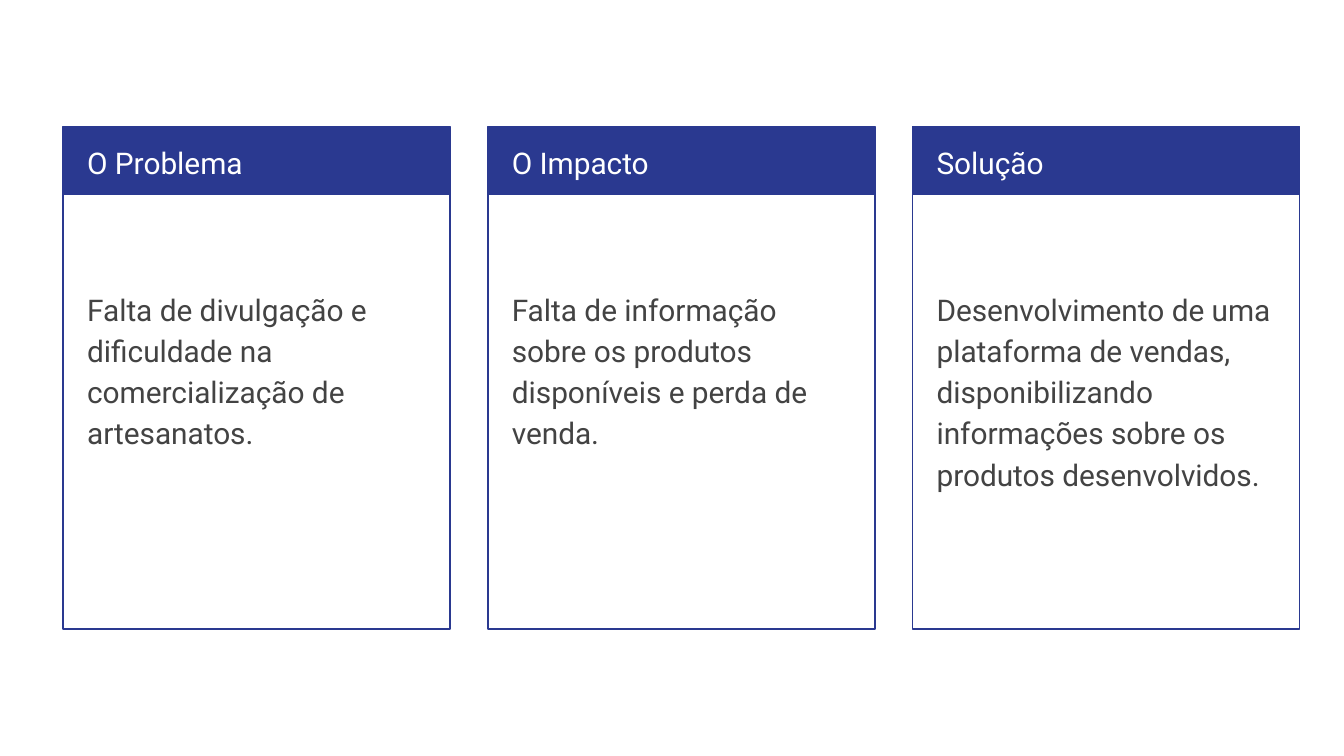
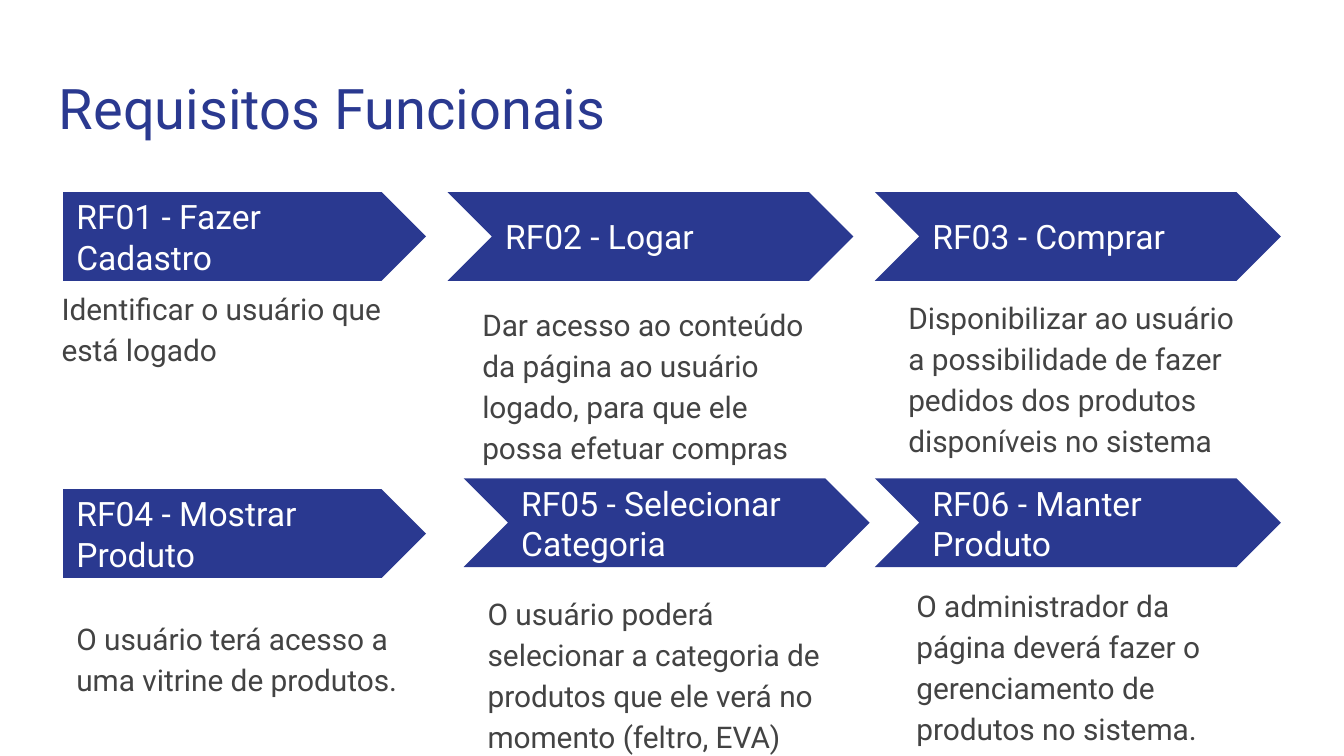
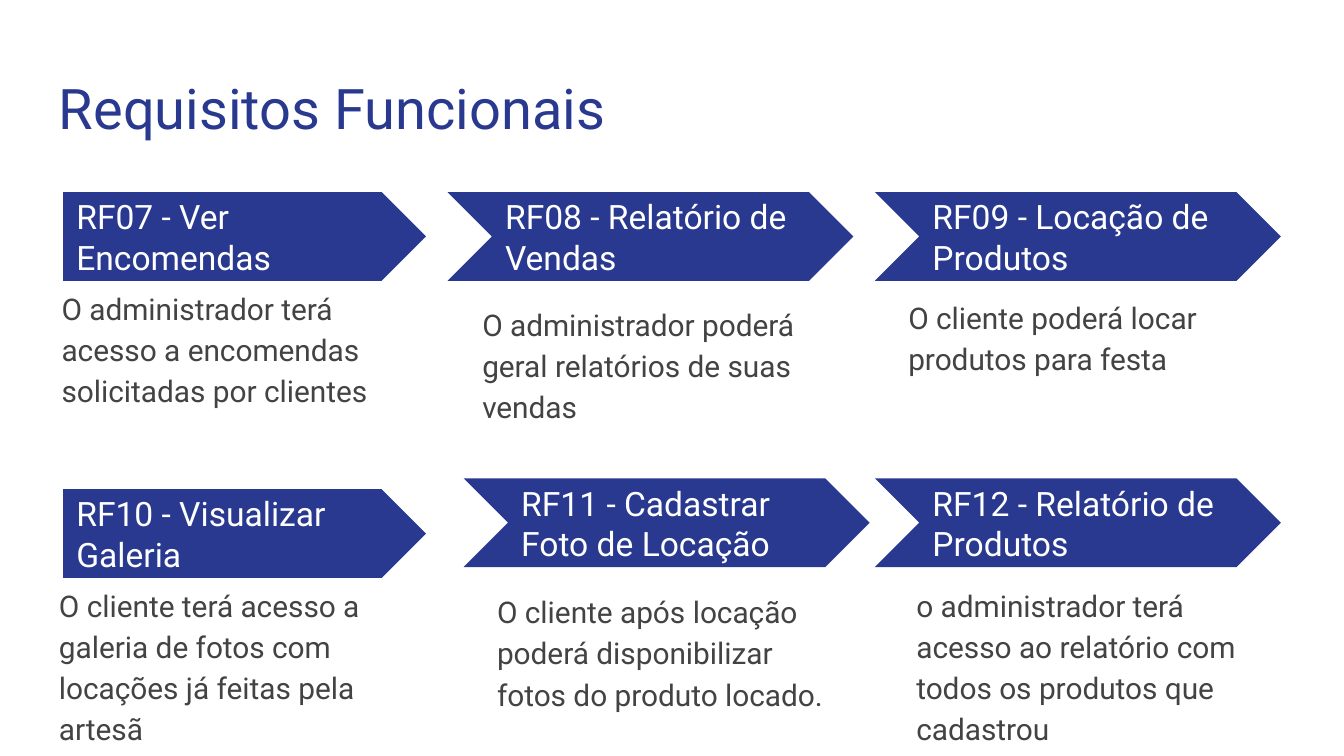
from dataclasses import dataclass

from pptx import Presentation
from pptx.dml.color import RGBColor
from pptx.enum.shapes import MSO_SHAPE
from pptx.enum.text import MSO_ANCHOR
from pptx.util import Inches, Pt


@dataclass(frozen=True)
class Theme:
    font: str = "Roboto"
    navy: RGBColor = RGBColor(0x2A, 0x39, 0x90)
    white: RGBColor = RGBColor(0xFF, 0xFF, 0xFF)
    gray: RGBColor = RGBColor(0x43, 0x43, 0x43)
    title_size: int = 30
    step_size: int = 18
    body_size: int = 16
    body_spacing: float = 1.15
    inset: float = 0.1
    outline: float = 0.75


THEME = Theme()

SLIDE_WIDTH = 10
SLIDE_HEIGHT = SLIDE_WIDTH * 9 / 16

CARD_LEFT, CARD_TOP, CARD_PITCH = 0.47, 0.94, 3.16
CARD_WIDTH, CARD_HEIGHT, BAND_HEIGHT = 2.88, 3.74, 0.51
CARD_PADDING = 0.08

STEP_HEIGHT = 0.66
PENTAGON_WIDTH, CHEVRON_WIDTH = 2.7, 3.02
CHEVRON_TEXT_INDENT, STEP_LABEL_DROP = 0.33, 0.16
STEP_POSITIONS = [
    (0.47, 1.43), (3.33, 1.43), (6.51, 1.43),
    (0.47, 3.64), (3.45, 3.56), (6.51, 3.56),
]
STEPS_PER_ROW = 3

CARDS = [
    ("O Problema",
     "Falta de divulgação e dificuldade na comercialização de artesanatos."),
    ("O Impacto",
     "Falta de informação sobre os produtos disponíveis e perda de venda."),
    ("Solução",
     "Desenvolvimento de uma plataforma de vendas, disponibilizando "
     "informações sobre os produtos desenvolvidos."),
]

ACCESS_REQUIREMENTS = [
    ("RF01 - Fazer Cadastro", (0.36, 2.02),
     "Identificar o usuário que está logado"),
    ("RF02 - Logar", (3.49, 2.14),
     "Dar acesso ao conteúdo da página ao usuário logado, para que ele "
     "possa efetuar compras"),
    ("RF03 - Comprar", (6.66, 2.09),
     "Disponibilizar ao usuário a possibilidade de fazer pedidos dos "
     "produtos disponíveis no sistema"),
    ("RF04 - Mostrar Produto", (0.47, 4.48),
     "O usuário terá acesso a uma vitrine de produtos."),
    ("RF05 - Selecionar Categoria", (3.53, 4.29),
     "O usuário poderá selecionar a categoria de produtos que ele verá no "
     "momento (feltro, EVA)"),
    ("RF06 - Manter Produto", (6.72, 4.23),
     "O administrador da página deverá fazer o gerenciamento de produtos "
     "no sistema."),
]

MANAGEMENT_REQUIREMENTS = [
    ("RF07 - Ver Encomendas", (0.36, 2.02),
     "O administrador terá acesso a encomendas solicitadas por clientes"),
    ("RF08 - Relatório de Vendas", (3.49, 2.14),
     "O administrador poderá geral relatórios de suas vendas"),
    ("RF09 - Locação de Produtos", (6.66, 2.09),
     "O cliente poderá locar produtos para festa"),
    ("RF10 - Visualizar Galeria", (0.34, 4.23),
     "O cliente terá acesso a galeria de fotos com locações já feitas pela "
     "artesã"),
    ("RF11 - Cadastrar Foto de Locação", (3.6, 4.28),
     "O cliente após locação poderá disponibilizar fotos do produto locado."),
    ("RF12 - Relatório de Produtos", (6.72, 4.23),
     "o administrador terá acesso ao relatório com todos os produtos que "
     "cadastrou"),
]


def add_text(slide, text, left, top, width, height, size, color,
             spacing=1.0, anchor=MSO_ANCHOR.TOP, top_inset=THEME.inset):
    box = slide.shapes.add_textbox(
        Inches(left), Inches(top), Inches(width), Inches(height))
    frame = box.text_frame
    frame.word_wrap = True
    frame.vertical_anchor = anchor
    frame.margin_left = frame.margin_right = Inches(THEME.inset)
    frame.margin_top = Inches(top_inset)
    frame.margin_bottom = Inches(THEME.inset)
    paragraph = frame.paragraphs[0]
    paragraph.line_spacing = spacing
    run = paragraph.add_run()
    run.text = text
    run.font.name = THEME.font
    run.font.size = Pt(size)
    run.font.color.rgb = color


def add_body(slide, text, left, top, width, height, color=THEME.gray, **options):
    add_text(slide, text, left, top, width, height, THEME.body_size, color,
             spacing=THEME.body_spacing, **options)


def add_panel(slide, kind, left, top, width, height, filled=True):
    shape = slide.shapes.add_shape(
        kind, Inches(left), Inches(top), Inches(width), Inches(height))
    shape.shadow.inherit = False
    if filled:
        shape.fill.solid()
        shape.fill.fore_color.rgb = THEME.navy
        shape.line.fill.background()
    else:
        shape.fill.background()
        shape.line.color.rgb = THEME.navy
        shape.line.width = Pt(THEME.outline)


def add_card(slide, column, heading, text):
    left = CARD_LEFT + column * CARD_PITCH
    text_left = left + CARD_PADDING
    add_panel(slide, MSO_SHAPE.RECTANGLE, left, CARD_TOP, CARD_WIDTH, BAND_HEIGHT)
    add_panel(slide, MSO_SHAPE.RECTANGLE, left, CARD_TOP, CARD_WIDTH, CARD_HEIGHT,
              filled=False)
    add_body(slide, heading, text_left, CARD_TOP, 2.73, 0.5, color=THEME.white)
    add_body(slide, text, text_left, 1.54, 2.71, 3.06, top_inset=0.59)


def add_step(slide, index, label):
    left, top = STEP_POSITIONS[index]
    if index % STEPS_PER_ROW == 0:
        kind, width, indent = MSO_SHAPE.PENTAGON, PENTAGON_WIDTH, 0
    else:
        kind, width, indent = MSO_SHAPE.CHEVRON, CHEVRON_WIDTH, CHEVRON_TEXT_INDENT
    add_panel(slide, kind, left, top, width, STEP_HEIGHT)
    add_text(slide, label, left + indent, top + STEP_LABEL_DROP, 2.47, 0.34,
             THEME.step_size, THEME.white, anchor=MSO_ANCHOR.MIDDLE)


def add_blank_slide(presentation):
    return presentation.slides.add_slide(presentation.slide_layouts[6])


def build_overview(presentation):
    slide = add_blank_slide(presentation)
    for column, (heading, text) in enumerate(CARDS):
        add_card(slide, column, heading, text)


def build_requirements(presentation, requirements):
    slide = add_blank_slide(presentation)
    add_text(slide, "Requisitos Funcionais", 0.34, 0.45, 9.32, 0.66,
             THEME.title_size, THEME.navy)
    for index, (label, (left, top), description) in enumerate(requirements):
        add_step(slide, index, label)
        add_body(slide, description, left, top, 2.7, 1.37)


def main():
    presentation = Presentation()
    presentation.slide_width = Inches(SLIDE_WIDTH)
    presentation.slide_height = Inches(SLIDE_HEIGHT)
    build_overview(presentation)
    build_requirements(presentation, ACCESS_REQUIREMENTS)
    build_requirements(presentation, MANAGEMENT_REQUIREMENTS)
    presentation.save("out.pptx")


if __name__ == "__main__":
    main()
